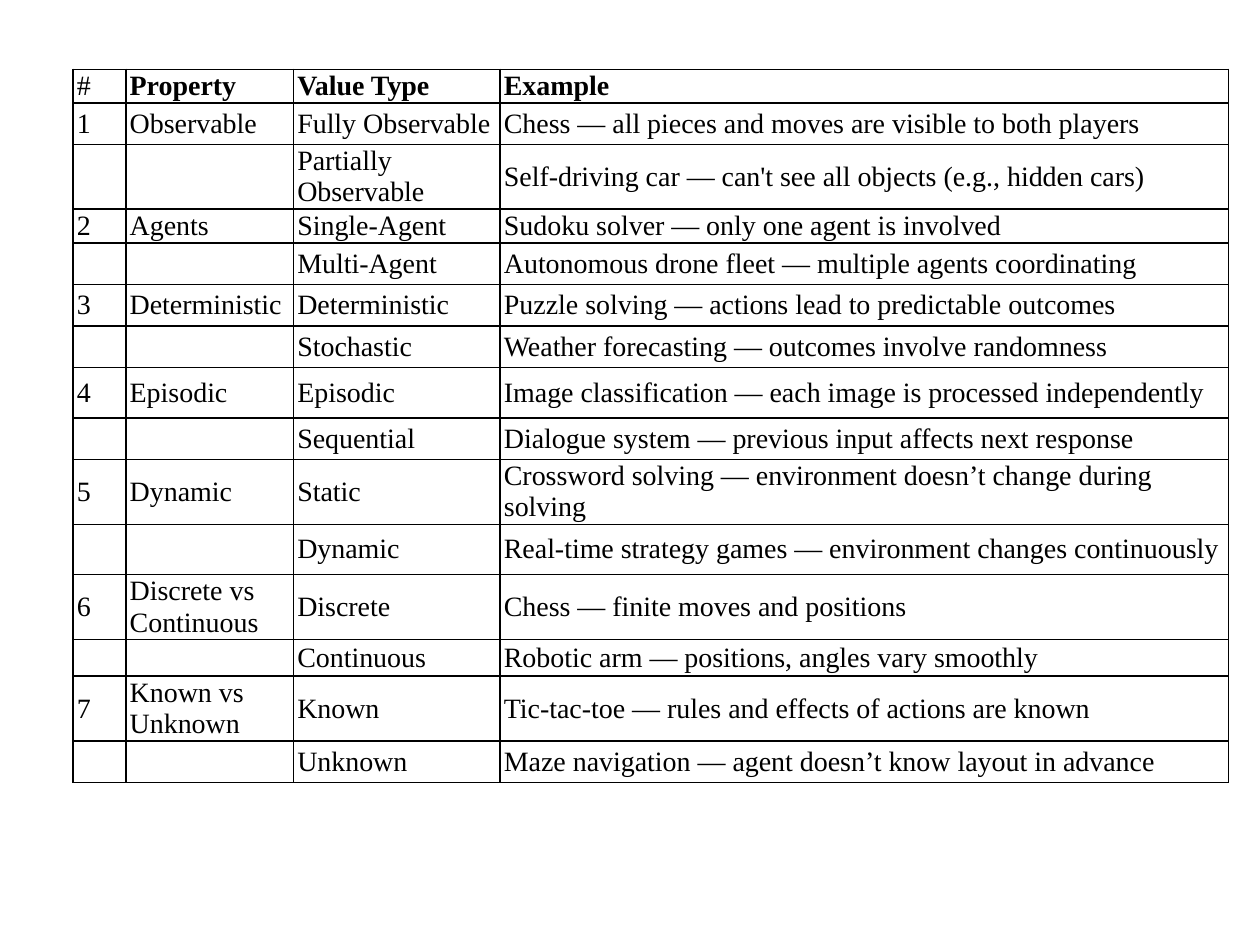
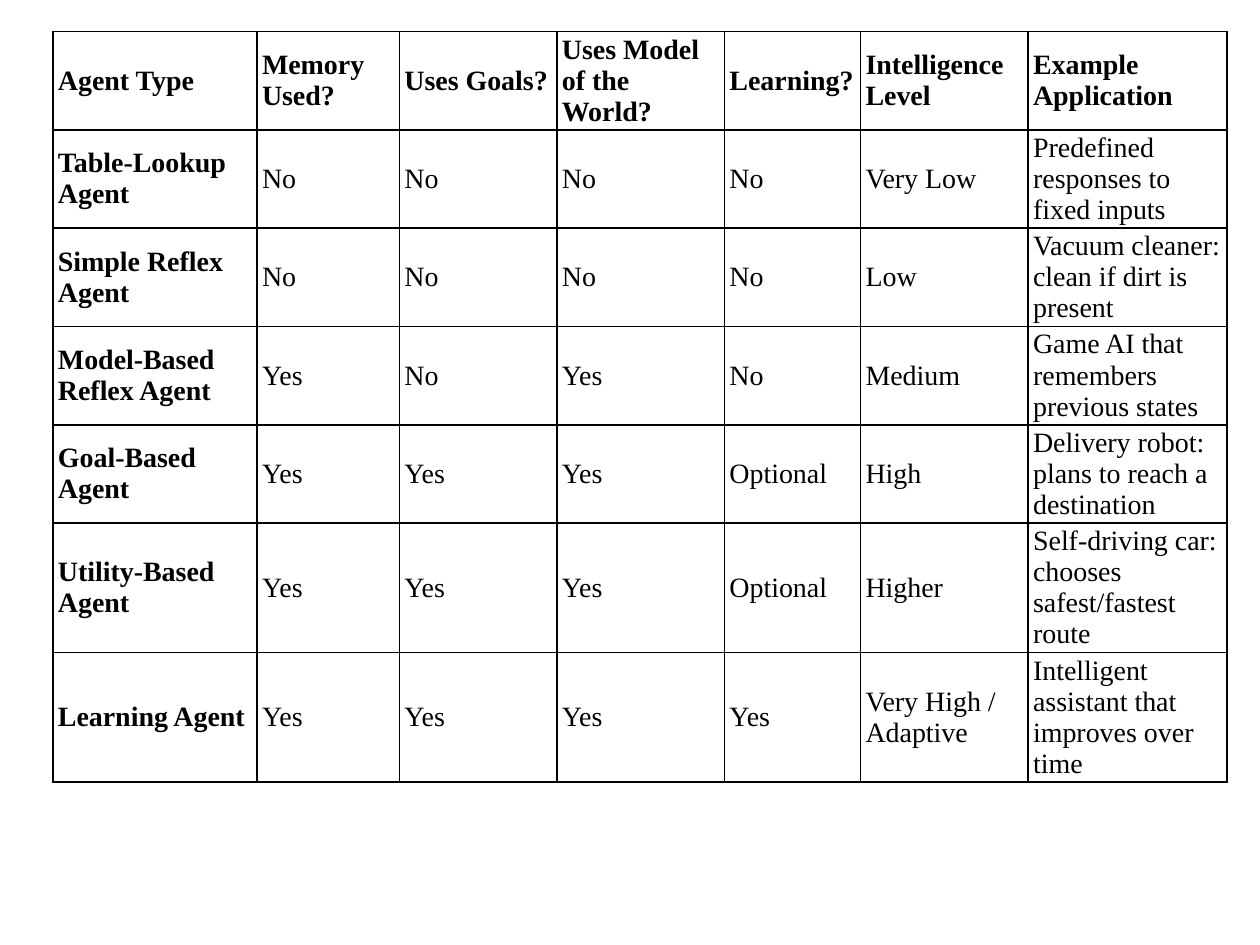
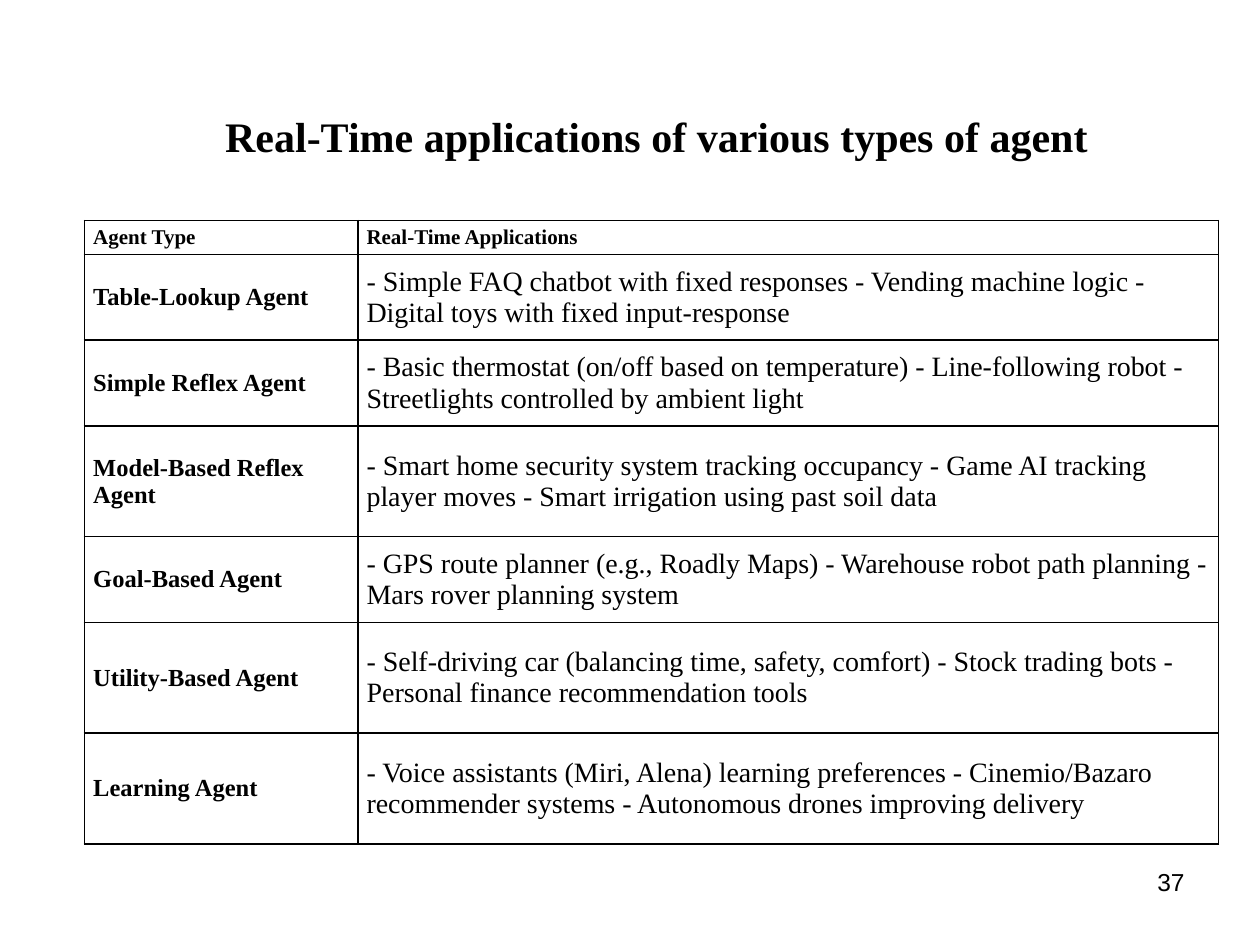
from lxml import etree
from pptx import Presentation
from pptx.dml.color import RGBColor
from pptx.enum.text import MSO_ANCHOR, MSO_AUTO_SIZE, PP_ALIGN
from pptx.oxml.ns import qn
from pptx.util import Inches, Pt

MIDDLE = MSO_ANCHOR.MIDDLE
GROW = MSO_AUTO_SIZE.SHAPE_TO_FIT_TEXT
CENTER, RIGHT = PP_ALIGN.CENTER, PP_ALIGN.RIGHT

COLORS = {"text": "000000", "border": "000000"}
SERIF, SANS = "Times New Roman", "Arial"
TITLE_ONLY, BLANK = 5, 6


def add_span(para, text, size, bold=False, font=SERIF):
    span = para.add_run()
    span.text = text
    span.font.name = font
    span.font.size = Pt(size)
    span.font.bold = bold
    span.font.color.rgb = RGBColor.from_string(COLORS["text"])


def add_grid(page, place, columns, heights, rows, insets, sizes=(16, 16, 16), bold_first=True):
    """Draw a bordered table; sizes are for the header, the first column and the rest."""
    left, top, width, height = [Inches(length) for length in place]
    frame = page.shapes.add_table(len(rows), len(columns), left, top, width, height)
    table = frame.table
    table.first_row = table.horz_banding = False
    for column, column_width in zip(table.columns, columns):
        column.width = Inches(column_width)
    for row, row_height in zip(table.rows, heights):
        row.height = Inches(row_height)
    frame.height = height

    for row_index, texts in enumerate(rows):
        for column_index, text in enumerate(texts):
            cell = table.cell(row_index, column_index)
            cell.vertical_anchor = MIDDLE
            cell.margin_left = cell.margin_right = Inches(insets[0])
            cell.margin_top = cell.margin_bottom = Inches(insets[1])
            size = sizes[0] if row_index == 0 else sizes[1] if column_index == 0 else sizes[2]
            bold = bold_first if column_index == 0 else row_index == 0
            para = cell.text_frame.paragraphs[0]
            if text:
                add_span(para, text, size, bold)
            else:
                etree.SubElement(para._p, qn("a:endParaRPr"), sz=str(size * 100))

            # Borders come before the fill in the cell properties
            properties = cell._tc.get_or_add_tcPr()
            for side in ("a:lnL", "a:lnR", "a:lnT", "a:lnB"):
                line = etree.SubElement(properties, qn(side), w=str(Pt(1)))
                fill = etree.SubElement(line, qn("a:solidFill"))
                etree.SubElement(fill, qn("a:srgbClr"), val=COLORS["border"])
            cell.fill.background()


deck = Presentation()
deck.slide_width, deck.slide_height = Inches(10), Inches(7.5)

# Slide 1: properties of environments
page = deck.slides.add_slide(deck.slide_layouts[BLANK])
environments = [
    ("#", "Property", "Value Type", "Example"),
    ("1", "Observable", "Fully Observable", "Chess — all pieces and moves are visible to both players"),
    ("", "", "Partially Observable", "Self-driving car — can't see all objects (e.g., hidden cars)"),
    ("2", "Agents", "Single-Agent", "Sudoku solver — only one agent is involved"),
    ("", "", "Multi-Agent", "Autonomous drone fleet — multiple agents coordinating"),
    ("3", "Deterministic", "Deterministic", "Puzzle solving — actions lead to predictable outcomes"),
    ("", "", "Stochastic", "Weather forecasting — outcomes involve randomness"),
    ("4", "Episodic", "Episodic", "Image classification — each image is processed independently"),
    ("", "", "Sequential", "Dialogue system — previous input affects next response"),
    ("5", "Dynamic", "Static", "Crossword solving — environment doesn’t change during solving"),
    ("", "", "Dynamic", "Real-time strategy games — environment changes continuously"),
    ("6", "Discrete vs Continuous", "Discrete", "Chess — finite moves and positions"),
    ("", "", "Continuous", "Robotic arm — positions, angles vary smoothly"),
    ("7", "Known vs Unknown", "Known", "Tic-tac-toe — rules and effects of actions are known"),
    ("", "", "Unknown", "Maze navigation — agent doesn’t know layout in advance"),
]
environment_heights = [0.1, 0.33, 0.33, 0.25, 0.33, 0.33, 0.33, 0.4,
                       0.33, 0.33, 0.4, 0.25, 0.25, 0.25, 0.33]
add_grid(page, (0.58, 0.55, 9.17, 6.41), [0.42, 1.33, 1.64, 5.78], environment_heights,
         environments, insets=(0.03, 0.01), bold_first=False)

# Slide 2: comparison of agent types
page = deck.slides.add_slide(deck.slide_layouts[BLANK])
agents = [
    ("Agent Type", "Memory Used?", "Uses Goals?", "Uses Model of the World?",
     "Learning?", "Intelligence Level", "Example Application"),
    ("Table-Lookup Agent", "No", "No", "No", "No", "Very Low",
     "Predefined responses to fixed inputs"),
    ("Simple Reflex Agent", "No", "No", "No", "No", "Low",
     "Vacuum cleaner: clean if dirt is present"),
    ("Model-Based Reflex Agent", "Yes", "No", "Yes", "No", "Medium",
     "Game AI that remembers previous states"),
    ("Goal-Based Agent", "Yes", "Yes", "Yes", "Optional", "High",
     "Delivery robot: plans to reach a destination"),
    ("Utility-Based Agent", "Yes", "Yes", "Yes", "Optional", "Higher",
     "Self-driving car: chooses safest/fastest route"),
    ("Learning Agent", "Yes", "Yes", "Yes", "Yes", "Very High / Adaptive",
     "Intelligent assistant that improves over time"),
]
add_grid(page, (0.42, 0.25, 9.33, 6.67), [1.62, 1.13, 1.25, 1.33, 1.08, 1.33, 1.58],
         [0.5, 0.61, 0.61, 0.72, 0.72, 0.72, 0.61], agents, insets=(0.04, 0.02))

# Slide 3: applications, with title and page number
page = deck.slides.add_slide(deck.slide_layouts[TITLE_ONLY])
title = page.shapes.title
title.left, title.top, title.width, title.height = [Inches(n) for n in (1, 0.83, 8.42, 0.5)]
title.text_frame.auto_size = GROW
para = title.text_frame.paragraphs[0]
para.alignment = CENTER
add_span(para, "Real-Time applications of various types of agent", 24, bold=True)

applications = [
    ("Agent Type", "Real-Time Applications"),
    ("Table-Lookup Agent",
     "- Simple FAQ chatbot with fixed responses - Vending machine logic "
     "- Digital toys with fixed input-response"),
    ("Simple Reflex Agent",
     "- Basic thermostat (on/off based on temperature) - Line-following robot "
     "- Streetlights controlled by ambient light"),
    ("Model-Based Reflex Agent",
     "- Smart home security system tracking occupancy - Game AI tracking player moves "
     "- Smart irrigation using past soil data"),
    ("Goal-Based Agent",
     "- GPS route planner (e.g., Roadly Maps) - Warehouse robot path planning "
     "- Mars rover planning system"),
    ("Utility-Based Agent",
     "- Self-driving car (balancing time, safety, comfort) - Stock trading bots "
     "- Personal finance recommendation tools"),
    ("Learning Agent",
     "- Voice assistants (Miri, Alena) learning preferences - Cinemio/Bazaro "
     "recommender systems - Autonomous drones improving delivery"),
]
add_grid(page, (0.67, 1.75, 9, 4.95), [2.17, 6.83], [0.27, 0.68, 0.68, 0.88, 0.68, 0.88, 0.88],
         applications, insets=(0.07, 0.03), sizes=(12, 14, 16))

number_box = page.shapes.add_textbox(Inches(7.17), Inches(6.83), Inches(2.33), Inches(0.52))
number_box.text_frame.word_wrap = True
para = number_box.text_frame.paragraphs[0]
para.alignment = RIGHT
add_span(para, "37", 14, font=SANS)

deck.save("out.pptx")
